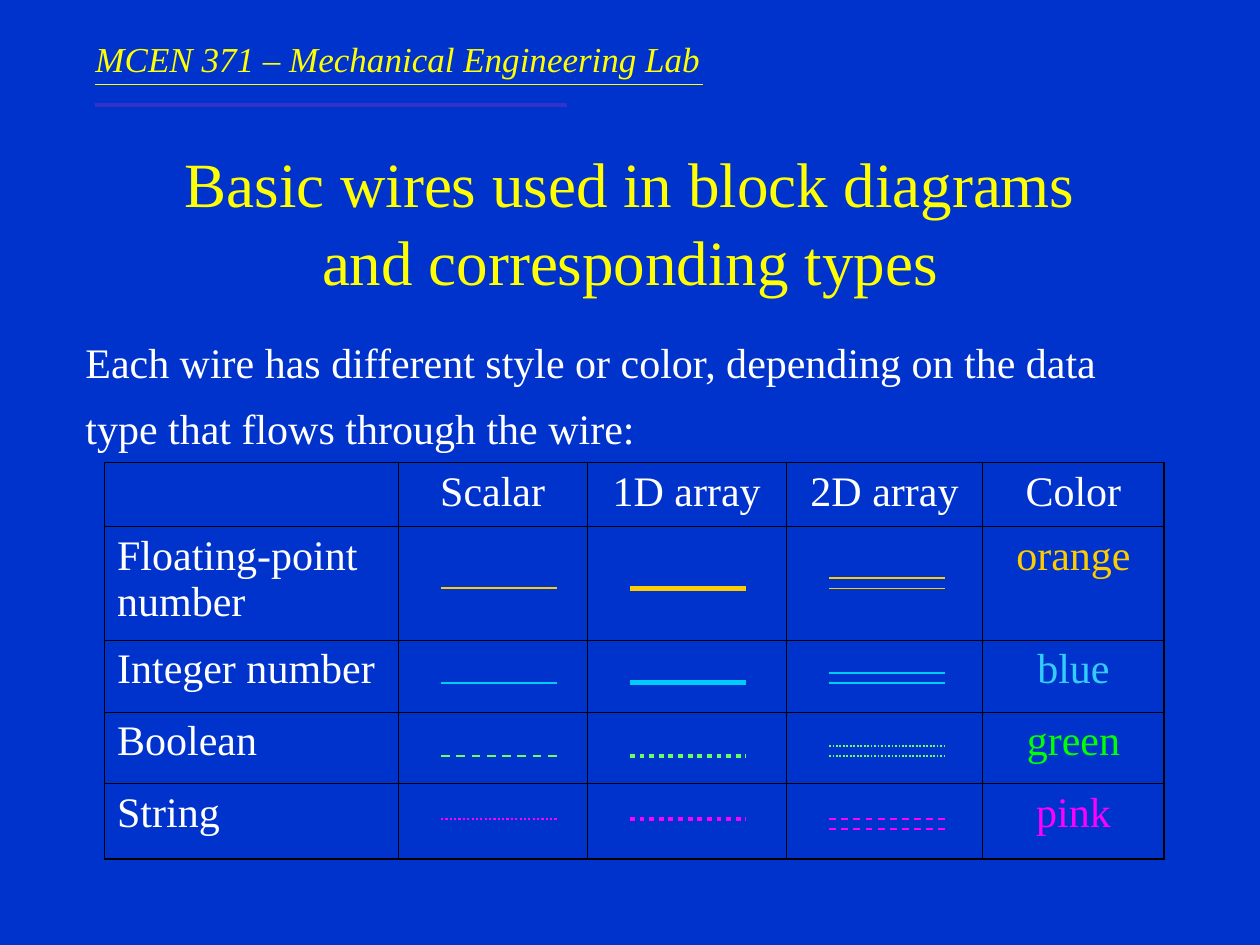
import pptx
import pptx.dml.color
import pptx.enum.dml
import pptx.enum.shapes
import pptx.enum.text
import pptx.oxml.ns
import pptx.util
from lxml import etree

Inches = pptx.util.Inches
Pt = pptx.util.Pt
RGBColor = pptx.dml.color.RGBColor
Align = pptx.enum.text.PP_ALIGN
Dash = pptx.enum.dml.MSO_LINE
qn = pptx.oxml.ns.qn

BACK = RGBColor(0x00, 0x33, 0xCC)
RULE = RGBColor(0x33, 0x33, 0xCC)
YELLOW = RGBColor(0xFF, 0xFF, 0x00)
WHITE = RGBColor(0xFF, 0xFF, 0xFF)
BLACK = RGBColor(0x00, 0x00, 0x00)
ORANGE = RGBColor(0xFF, 0xCC, 0x00)
BLUE = RGBColor(0x33, 0xCC, 0xFF)
CYAN = RGBColor(0x00, 0xCC, 0xFF)
GREEN = RGBColor(0x00, 0xFF, 0x00)
LIME = RGBColor(0x66, 0xFF, 0x66)
PINK = RGBColor(0xFF, 0x00, 0xFF)

FONT = "Times New Roman"
COLS = (2.33, 1.5, 1.58, 1.56, 1.44)
ROWS = (0.51, 0.9, 0.57, 0.57, 0.6)
HEADS = ("", "Scalar", "1D array", "2D array", "Color")
TYPES = (
    ("Floating-point number", "orange", ORANGE),
    ("Integer number", "blue", BLUE),
    ("Boolean", "green", GREEN),
    ("String", "pink", PINK),
)
WIRES = (
    (4.67, -0.08, ORANGE, (None, None, None)),
    (5.42, -0.08, CYAN, (None, None, None)),
    (6, -0.08, LIME, (Dash.DASH, Dash.ROUND_DOT, Dash.ROUND_DOT)),
    (6.5, 0.08, PINK, (Dash.ROUND_DOT, Dash.ROUND_DOT, Dash.DASH)),
)


def write(frame, text, size=24, color=WHITE, align=Align.LEFT, italic=False,
          before=0, pitch=1.0):
    """Fill a text frame with one paragraph per line of text."""
    for i, line in enumerate(text.split("\n")):
        para = frame.add_paragraph() if i else frame.paragraphs[0]
        para.text = line
        para.alignment = align
        para.space_before = Pt(before)
        para.line_spacing = pitch
        font = para.font
        font.name, font.size, font.italic = FONT, Pt(size), italic
        font.color.rgb = color


def add_text(slide, box, text, wrap=True, **form):
    """Add a text box at left, top, width, height."""
    frame = slide.shapes.add_textbox(*map(Inches, box)).text_frame
    frame.word_wrap = wrap
    write(frame, text, **form)


def add_line(slide, left, top, width, color, weight, dash=None):
    """Add a level line without shadow."""
    line = slide.shapes.add_connector(
        pptx.enum.shapes.MSO_CONNECTOR.STRAIGHT,
        Inches(left), Inches(top), Inches(left + width), Inches(top))
    line.line.color.rgb = color
    line.line.width = Pt(weight)
    if dash:
        line.line.dash_style = dash
    etree.SubElement(line._element.spPr, qn("a:effectLst"))


def add_edge(cell, side, weight):
    """Draw one black border of a cell."""
    props = cell._tc.get_or_add_tcPr()
    edge = etree.SubElement(props, qn("a:ln" + side), w=str(Pt(weight)))
    fill = etree.SubElement(edge, qn("a:solidFill"))
    etree.SubElement(fill, qn("a:srgbClr"), val=str(BLACK))


def add_grid(slide):
    """Add the table of data types with a heavier outer border."""
    grid = slide.shapes.add_table(
        len(ROWS), len(COLS), Inches(0.83), Inches(3.67),
        Inches(sum(COLS)), Inches(sum(ROWS))).table
    grid.first_row = grid.horz_banding = False
    for col, width in zip(grid.columns, COLS):
        col.width = Inches(width)
    for row, height in zip(grid.rows, ROWS):
        row.height = Inches(height)
    for r in range(len(ROWS)):
        for c in range(len(COLS)):
            cell = grid.cell(r, c)
            outer = {"L": c == 0, "R": c == len(COLS) - 1,
                     "T": r == 0, "B": r == len(ROWS) - 1}
            for side, heavy in outer.items():
                add_edge(cell, side, 1.08 if heavy else 0.45)
            cell.fill.background()
    for c, head in enumerate(HEADS):
        if head:
            write(grid.cell(0, c).text_frame, head, align=Align.CENTER, before=6)
    for r, (kind, name, color) in enumerate(TYPES, 1):
        write(grid.cell(r, 0).text_frame, kind, before=6)
        write(grid.cell(r, 4).text_frame, name, color=color,
              align=Align.CENTER, before=6)


def add_wires(slide):
    """Draw the scalar, 1D and 2D wires of each type."""
    for top, gap, color, (thin, thick, twin) in WIRES:
        add_line(slide, 3.5, top, 0.92, color, 1.25, thin)
        add_line(slide, 5, top, 0.92, color, 2.75, thick)
        for y in (top, top + gap):
            add_line(slide, 6.58, y, 0.92, color, 1, twin)


def main():
    """Build and save the slide."""
    deck = pptx.Presentation()
    deck.slide_width, deck.slide_height = Inches(10), Inches(7.5)
    slide = deck.slides.add_slide(deck.slide_layouts[6])
    slide.background.fill.solid()
    slide.background.fill.fore_color.rgb = BACK
    add_line(slide, 0.75, 0.83, 3.75, RULE, 2.25)
    add_text(slide, (0.66, 0.25, 5, 0.44), "MCEN 371 – Mechanical Engineering Lab",
             wrap=False, size=20, color=YELLOW, italic=True)
    add_line(slide, 0.75, 0.67, 4.83, YELLOW, 0.75)
    add_text(slide, (0.75, 1.08, 8.5, 1.17),
             "Basic wires used in block diagrams\vand corresponding types",
             size=36, color=YELLOW, align=Align.CENTER, pitch=1.03)
    add_text(slide, (0.58, 2.58, 8.83, 4.33),
             "Each wire has different style or color, depending on the data\n"
             "type that flows through the wire:", before=6, pitch=1.1)
    add_grid(slide)
    add_wires(slide)
    deck.save("out.pptx")


if __name__ == "__main__":
    main()
